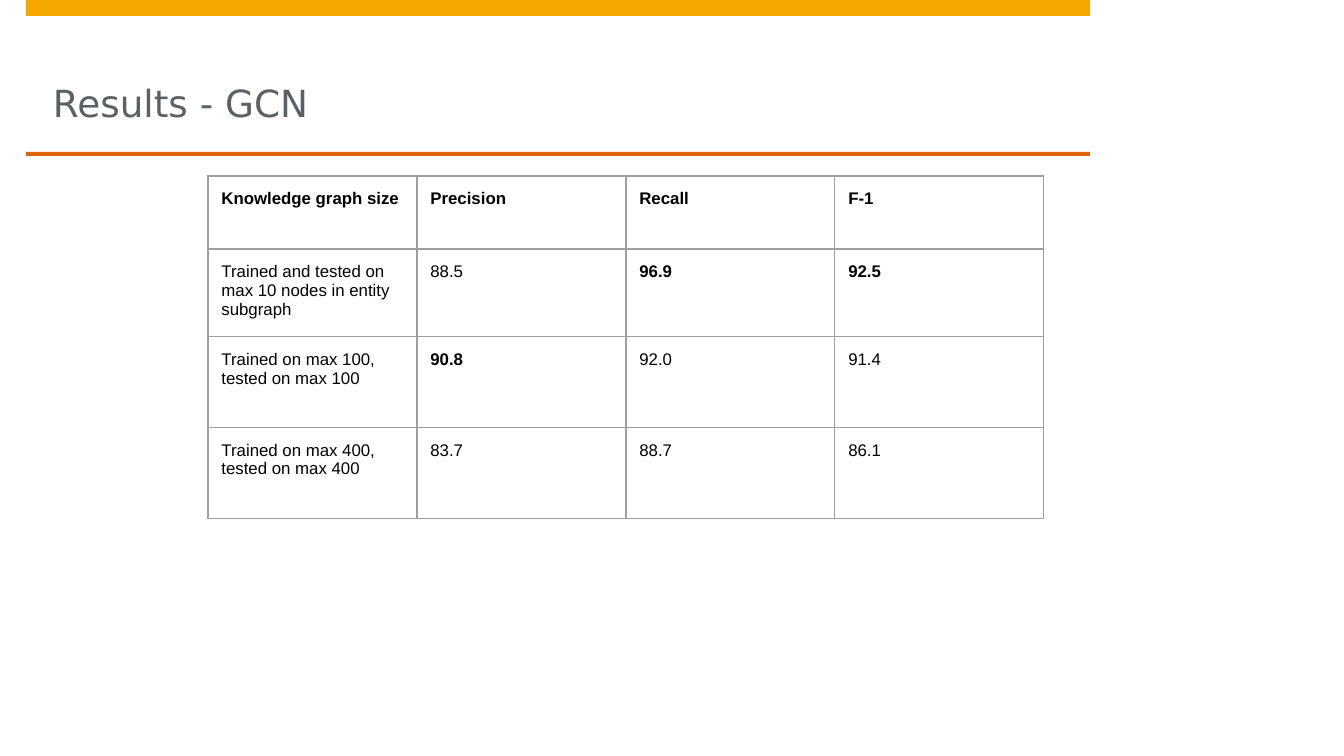
from lxml import etree
from pptx import Presentation
from pptx import util as u
from pptx.dml.color import RGBColor
from pptx.enum import shapes, text
from pptx.oxml.ns import qn

SCALE = 914400 / 134.4
AMBER = RGBColor(0xF6, 0xA8, 0x00)
ORANGE = RGBColor(0xDD, 0x64, 0x0C)
SLATE = RGBColor(0x5A, 0x61, 0x66)
BLACK = RGBColor(0, 0, 0)
GREY = RGBColor(0x9E, 0x9E, 0x9E)

HEADER = ["Knowledge graph size", "Precision", "Recall", "F-1"]
RESULTS = [
    ["Trained and tested on max 10 nodes in entity subgraph", "88.5", "96.9", "92.5"],
    ["Trained on max 100, tested on max 100", "90.8", "92.0", "91.4"],
    ["Trained on max 400,\ntested on max 400", "83.7", "88.7", "86.1"],
]
BEST = [max(col, key=float) for col in list(zip(*RESULTS))[1:]]
ROW_HEIGHTS = [73, 67, 91, 91]
COL_WIDTH = 209


def px(n):
    """Turn pixels into EMU."""
    return u.Emu(round(n * SCALE))


def set_attrs(obj, values):
    """Set every attribute named in a dict."""
    for name, value in values.items():
        setattr(obj, name, value)


def style_text(tf, name, size, color, bold=False):
    """Give all runs of a text frame one font."""
    for p in tf.paragraphs:
        for r in p.runs:
            set_attrs(r.font, {"name": name, "size": u.Pt(size), "bold": bold})
            r.font.color.rgb = color


def add_bar(s, top, height, color):
    """Draw a plain bar across the content width."""
    sp = s.shapes.add_shape(shapes.MSO_SHAPE.RECTANGLE, px(26), px(top), px(1064), px(height))
    sp.shadow.inherit = False
    sp.fill.solid()
    sp.fill.fore_color.rgb = color
    sp.line.fill.background()


def add_title(s, title):
    """Place the slide title above the rule."""
    tf = s.shapes.add_textbox(px(53), px(16), px(1010), px(136)).text_frame
    set_attrs(tf, {
        "word_wrap": True, "vertical_anchor": text.MSO_ANCHOR.BOTTOM,
        "margin_left": 0, "margin_top": 0, "margin_right": 0, "margin_bottom": px(27),
    })
    tf.text = title
    style_text(tf, "DejaVu Sans", 20, SLATE)


def add_borders(cell):
    """Draw a thin grey line on all four sides of a cell."""
    tc_pr = cell._tc.get_or_add_tcPr()
    for i, side in enumerate(["lnL", "lnR", "lnT", "lnB"]):
        ln = etree.Element(qn(f"a:{side}"), w=str(u.Pt(0.75)))
        fill = etree.SubElement(ln, qn("a:solidFill"))
        etree.SubElement(fill, qn("a:srgbClr"), val=str(GREY))
        tc_pr.insert(i, ln)


def fill_cell(cell, value, bold):
    """Write and format one table cell."""
    inset = u.Inches(0.1)
    set_attrs(cell, {
        "text": value, "margin_left": inset, "margin_top": inset,
        "margin_right": inset, "margin_bottom": inset,
    })
    style_text(cell.text_frame, "Arial", 9, BLACK, bold)
    cell.fill.background()
    add_borders(cell)


def add_results(s, left, top):
    """Add the results table with the best scores in bold."""
    rows = [HEADER] + RESULTS
    cols = len(HEADER)
    table = s.shapes.add_table(len(rows), cols, px(left), px(top),
                               px(COL_WIDTH * cols), px(sum(ROW_HEIGHTS))).table
    set_attrs(table, {"first_row": False, "horz_banding": False})
    for col in table.columns:
        col.width = px(COL_WIDTH)
    for i, (values, height) in enumerate(zip(rows, ROW_HEIGHTS)):
        table.rows[i].height = px(height)
        for j, value in enumerate(values):
            best = j > 0 and value == BEST[j - 1]
            fill_cell(table.cell(i, j), value, i == 0 or best)


def main():
    """Build and save the slide."""
    prs = Presentation()
    set_attrs(prs, {"slide_width": px(1344), "slide_height": px(756)})
    s = prs.slides.add_slide(prs.slide_layouts[6])
    add_bar(s, 0, 16, AMBER)
    add_bar(s, 152, 4, ORANGE)
    add_title(s, "Results - GCN")
    add_results(s, 208, 176)
    prs.save("out.pptx")


if __name__ == "__main__":
    main()
